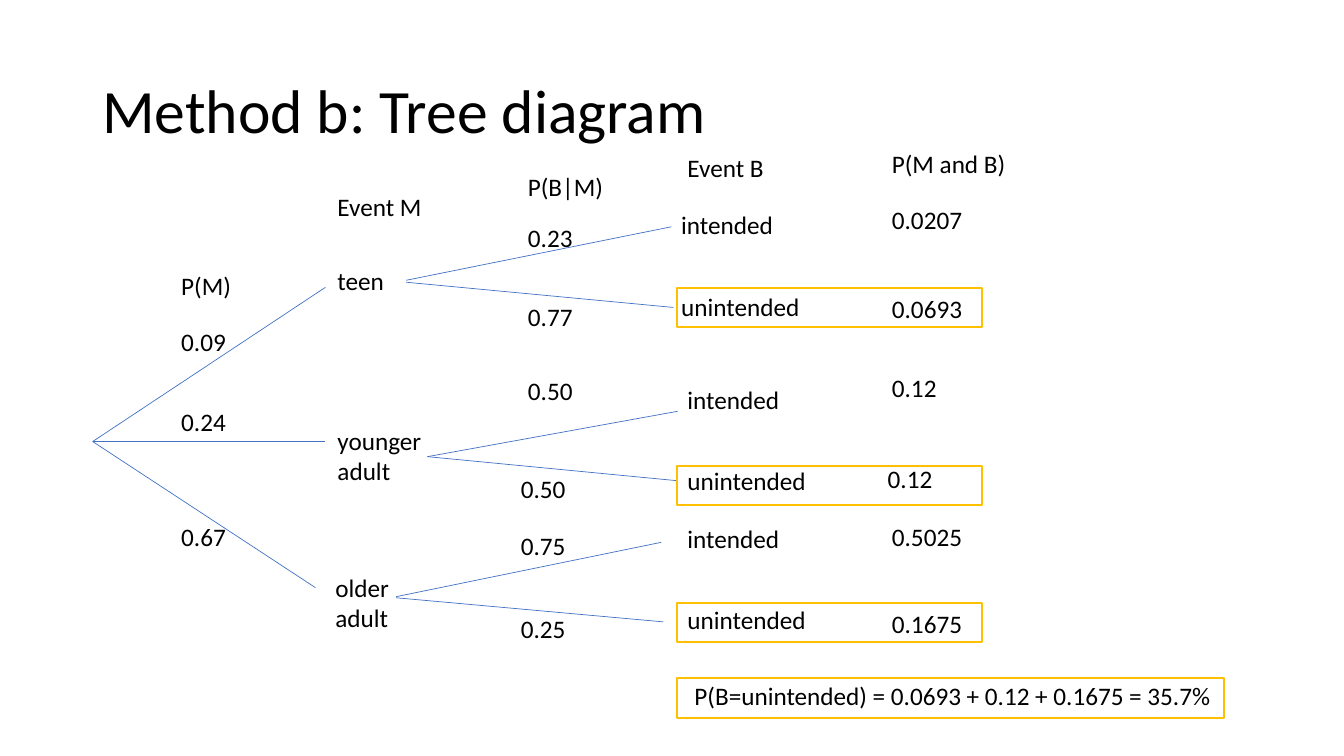
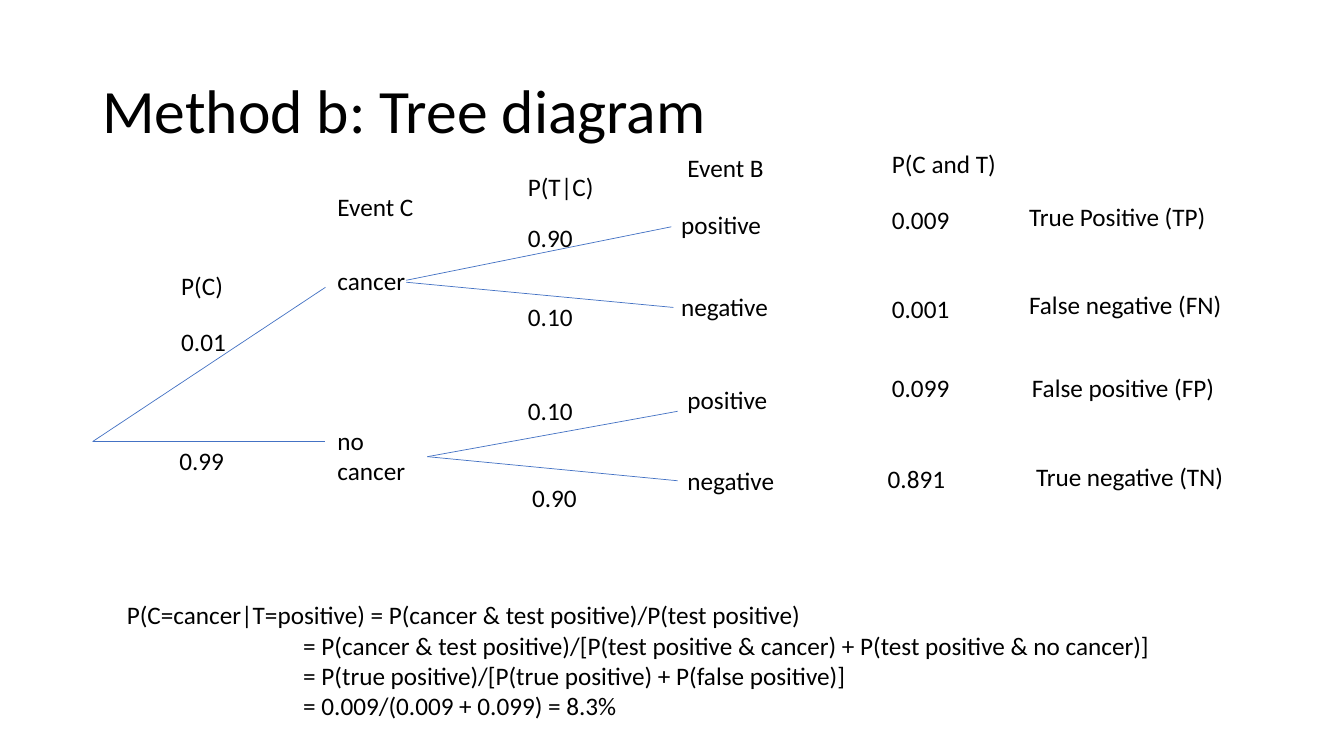
from pptx import Presentation
from pptx.dml.color import RGBColor
from pptx.enum.shapes import MSO_CONNECTOR as CONN, MSO_SHAPE as SHAPE
from pptx.enum.text import MSO_ANCHOR as ANCHOR, MSO_AUTO_SIZE as AUTO
from pptx.oxml.ns import qn
from pptx.util import Pt
from lxml import etree


def rgb(value):
    return RGBColor.from_string(value)


class Deck:
    FONT = "Calibri"
    INK, BRANCH, MARK = "000000", "4472C4", "FFC000"
    TITLE_SIZE, BODY_SIZE = 44, 18
    LABEL_W, LINE_H, INSET_H = 206.6, 21.9, 7.2

    def __init__(self):
        self.prs = Presentation()
        self.prs.slide_width, self.prs.slide_height = Pt(960), Pt(540)
        self.s = None

    def new_slide(self, title):
        self.s = self.prs.slides.add_slide(self.prs.slide_layouts[6])
        tf = self.text_box(66, 28.8, 828, 104.4)
        tf.vertical_anchor = ANCHOR.MIDDLE
        p = tf.paragraphs[0]
        p.line_spacing = 0.9
        self.run(p, title, self.TITLE_SIZE)

    def text_box(self, x, y, w, h):
        tf = self.s.shapes.add_textbox(Pt(x), Pt(y), Pt(w), Pt(h)).text_frame
        tf.word_wrap = True
        return tf

    def run(self, p, text, size):
        r = p.add_run()
        r.text = text
        r.font.name, r.font.size = self.FONT, Pt(size)
        r.font.color.rgb = rgb(self.INK)

    def label(self, x, y, text, w=LABEL_W, indent=0):
        lines = text.split("\n")
        tf = self.text_box(x, y, w, len(lines) * self.LINE_H + self.INSET_H)
        tf.auto_size = AUTO.SHAPE_TO_FIT_TEXT
        for i, line in enumerate(lines):
            p = tf.add_paragraph() if i else tf.paragraphs[0]
            if i and indent:
                p._p.get_or_add_pPr().set("marL", str(Pt(indent)))
            self.run(p, line, self.BODY_SIZE)

    def branch(self, start, end):
        points = [Pt(v) for v in (*start, *end)]
        sp = self.s.shapes.add_connector(CONN.STRAIGHT, *points)
        sp.line.color.rgb, sp.line.width = rgb(self.BRANCH), Pt(0.5)
        etree.SubElement(sp._element.spPr, qn("a:effectLst"))

    def frame(self, x, y, w=218.2, h=28):
        sp = self.s.shapes.add_shape(SHAPE.RECTANGLE, Pt(x), Pt(y), Pt(w), Pt(h))
        sp.shadow.inherit = False
        sp.fill.background()
        sp.line.color.rgb, sp.line.width = rgb(self.MARK), Pt(1.5)

    def tree(self, headings, priors, nodes, likelihoods, outcomes, joints):
        for spot, text in zip(HEADINGS, headings):
            self.label(*spot, text)
        for (x, y, root_end, forks), node in zip(NODES, nodes):
            self.branch(ROOT, root_end)
            self.label(x, y, node)
            for start, end in forks:
                self.branch(start, end)
        for x, y, text in priors + likelihoods:
            self.label(x, y, text)
        for i, joint in enumerate(joints):
            self.label(*OUTCOMES[i], outcomes[i % 2])
            self.label(*JOINTS[i], joint)


ROOT = (66.2, 315.4)
HEADINGS = [(122.4, 189.4), (234, 133.2), (370, 118.8), (484, 105.1), (630, 102.2)]
NODES = [
    (234, 185.8, (232.5, 205.2),
     [((290.2, 200.2), (479.5, 162)), ((290.2, 201.6), (481, 219.6))]),
    (234, 300.2, (232.5, 315.4),
     [((305.3, 326.2), (484, 293.8)), ((305.3, 326.2), (484, 343.4))]),
    (232.5, 405.4, (225.4, 419.8),
     [((283, 426.2), (472.3, 387.4)), ((283, 427), (473.8, 444.2))]),
]
OUTCOMES = [(479.5, 146.2), (479.5, 204.5), (484, 270.7), (484, 329),
            (484, 370.1), (484, 428.4)]
JOINTS = [(630, 142.6), (630, 205.9), (630, 262.1), (627, 327.6),
          (630, 368.6), (630, 430.6)]
TITLE = "Method b: Tree diagram"


def pregnancy_slide(deck):
    deck.new_slide(TITLE)
    deck.tree(
        headings=["P(M)", "Event M", "P(B|M)", "Event B", "P(M and B)"],
        priors=[(122.4, 229.7, "0.09"), (122.4, 286.6, "0.24"), (122.4, 368.6, "0.67")],
        nodes=["teen", "younger\nadult", "older\nadult"],
        likelihoods=[(370, 155.5, "0.23"), (370, 211.7, "0.77"),
                     (370, 264.2, "0.50"), (365, 334.8, "0.50"),
                     (365, 375.1, "0.75"), (365, 434.2, "0.25")],
        outcomes=["intended", "unintended"],
        joints=["0.0207", "0.0693", "0.12", "0.12", "0.5025", "0.1675"])
    for y in (205.9, 332.6, 430.6):
        deck.frame(483.5, y)
    deck.frame(483.5, 484.6, w=391)
    deck.label(489, 482.4, "P(B=unintended) = 0.0693 + 0.12 + 0.1675 = 35.7%", w=496)


def cancer_slide(deck):
    deck.new_slide(TITLE)
    deck.tree(
        headings=["P(C)", "Event C", "P(T|C)", "Event B", "P(C and T)"],
        priors=[(122.4, 229.7, "0.01"), (121, 314.6, "0.99")],
        nodes=["cancer", "no\ncancer"],
        likelihoods=[(370, 155.5, "0.90"), (370, 211.7, "0.10"),
                     (370, 278.6, "0.10"), (373, 341.3, "0.90")],
        outcomes=["positive", "negative"],
        joints=["0.009", "0.001", "0.099", "0.891"])
    for x, y, verdict in [(728, 140.4, "True Positive (TP)"),
                          (728, 203, "False negative (FN)"),
                          (730, 262.1, "False positive (FP)"),
                          (733, 326.2, "True negative (TN)")]:
        deck.label(x, y, verdict)
    deck.label(83.5, 424.8, "\n".join([
        "P(C=cancer|T=positive) = P(cancer & test positive)/P(test positive)",
        "= P(cancer & test positive)/[P(test positive & cancer) + P(test positive & no cancer)]",
        "= P(true positive)/[P(true positive) + P(false positive)]",
        "= 0.009/(0.009 + 0.099) = 8.3%"]), w=851, indent=126)


def main():
    deck = Deck()
    pregnancy_slide(deck)
    cancer_slide(deck)
    deck.prs.save("out.pptx")


if __name__ == "__main__":
    main()
